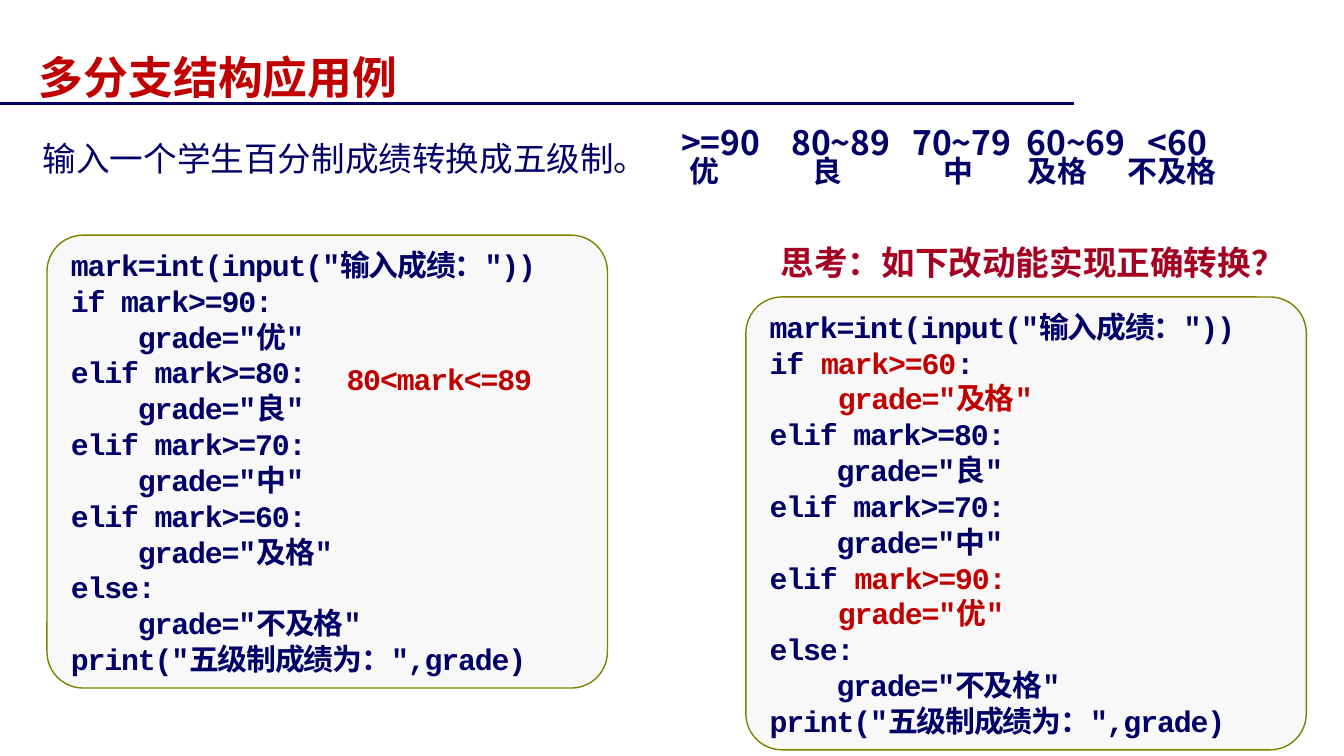
from lxml import etree
from pptx import Presentation
from pptx.dml.color import RGBColor
from pptx.enum.shapes import MSO_CONNECTOR, MSO_SHAPE
from pptx.enum.text import MSO_ANCHOR, MSO_AUTO_SIZE, PP_ALIGN
from pptx.oxml.ns import qn
from pptx.util import Inches, Pt

LINE, ROUND = MSO_CONNECTOR.STRAIGHT, MSO_SHAPE.ROUNDED_RECTANGLE
LEFT, MIDDLE, BOTTOM = PP_ALIGN.LEFT, MSO_ANCHOR.MIDDLE, MSO_ANCHOR.BOTTOM
CODE, SANS = "Courier New", "Noto Sans CJK SC"
COLORS = {"navy": "000066", "red": "C00000", "wine": "A50021",
          "panel": "F8F8F8", "olive": "808000"}
RGB = {name: RGBColor.from_string(value) for name, value in COLORS.items()}


def add_run(para, text, size, face, color, bold=True, tight=False):
    run = para.add_run()
    run.text = text
    font = run.font
    font.size, font.bold, font.name = Pt(size), bold, face
    font.color.rgb = RGB[color]
    etree.SubElement(font._element, qn("a:ea")).set("typeface", SANS)
    if tight:
        font._element.set("spc", "-60")


def add_box(left, top, width, height):
    """Add a wrapping text box and return its text frame."""
    box = slide.shapes.add_textbox(Inches(left), Inches(top),
                                   Inches(width), Inches(height))
    frame = box.text_frame
    frame.word_wrap = True
    frame.paragraphs[0].line_spacing = 1.2
    return frame


prs = Presentation()
prs.slide_width = Inches(10)
prs.slide_height = Inches(10 * 9 / 16)
slide = prs.slides.add_slide(prs.slide_layouts[5])

# Title and rule
rule = slide.shapes.add_connector(LINE, Inches(0), Inches(0.77), Inches(7.99), Inches(0.77))
rule.line.color.rgb = RGB["navy"]
rule.line.width = Pt(2)
etree.SubElement(rule._element.spPr, qn("a:effectLst"))

title = slide.shapes.title
title.left, title.top = Inches(0.19), Inches(0.24)
title.width, title.height = Inches(3.37), Inches(0.58)
frame = title.text_frame
frame.auto_size = MSO_AUTO_SIZE.NONE
frame.vertical_anchor = BOTTOM
frame.paragraphs[0].alignment = LEFT
add_run(frame.paragraphs[0], "多分支结构应用例", 24, CODE, "red")

# Task
task = add_box(0.22, 0.92, 9.5, 0.47)
add_run(task.paragraphs[0], "输入一个学生百分制成绩转换成五级制。", 18, CODE, "navy", bold=False)

# Code panels: text between bars is red
first = [("mark>=90", ":", "优"), ("mark>=80", ":", "良"),
         ("mark>=70", ":", "中"), ("mark>=60", ":", "及格")]
second = [("|mark>=60|", ":", "|及格"), ("mark>=80", ":", "良"),
          ("mark>=70", ":", "中"), ("|mark>=90", ":", "|优")]
for left, top, tests in [(0.35, 1.75, first), (5.55, 2.21, second)]:
    lines = ['mark=int(input("输入成绩："))']
    word = "if"
    for test, colon, grade in tests:
        bar = "|" if grade.startswith("|") else ""
        lines.append(f"{word} {test}{colon}")
        lines.append(f'    {bar}grade="{grade.strip("|")}"')
        word = "elif"
    lines += ["else:", '    grade="不及格"', 'print("五级制成绩为：",grade)']

    panel = slide.shapes.add_shape(ROUND, Inches(left), Inches(top),
                                   Inches(4.17), Inches(3.37))
    panel.adjustments[0] = 0.08
    panel.shadow.inherit = False
    panel.fill.solid()
    panel.fill.fore_color.rgb = RGB["panel"]
    panel.line.color.rgb = RGB["olive"]
    panel.line.width = Pt(0.75)
    frame = panel.text_frame
    frame.word_wrap = True
    frame.vertical_anchor = MIDDLE
    for i, line in enumerate(lines):
        para = frame.add_paragraph() if i else frame.paragraphs[0]
        para.alignment = LEFT
        for j, part in enumerate(line.split("|")):
            if part:
                add_run(para, part, 16, CODE, "red" if j % 2 else "navy", tight=True)

# Question and range note
ask = add_box(5.71, 1.69, 4.29, 0.46)
add_run(ask.paragraphs[0], "思考：如下改动能实现正确转换？", 18, SANS, "wine")
note = add_box(2.48, 2.58, 1.81, 0.41)
add_run(note.paragraphs[0], "80<mark<=89", 16, CODE, "red", tight=True)

# Grade scale, set in columns by tab stops
frame = add_box(4.97, 0.8, 5.03, 0.66)
names = frame.add_paragraph()
names.line_spacing = Pt(14)
scale = [
    (frame.paragraphs[0], 18, ">=90\t80~89\t70~79\t60~69\t<60", [0.82, 1.72, 2.57, 3.47]),
    (names, 16, "\t优\t良\t中\t及格\t不及格", [0.06, 0.98, 1.95, 2.58, 3.32]),
]
for para, size, text, stops in scale:
    tabs = etree.SubElement(para._p.get_or_add_pPr(), qn("a:tabLst"))
    for stop in stops:
        etree.SubElement(tabs, qn("a:tab"), pos=str(Inches(stop)), algn="l")
    add_run(para, text, size, SANS, "navy")

prs.save("out.pptx")
